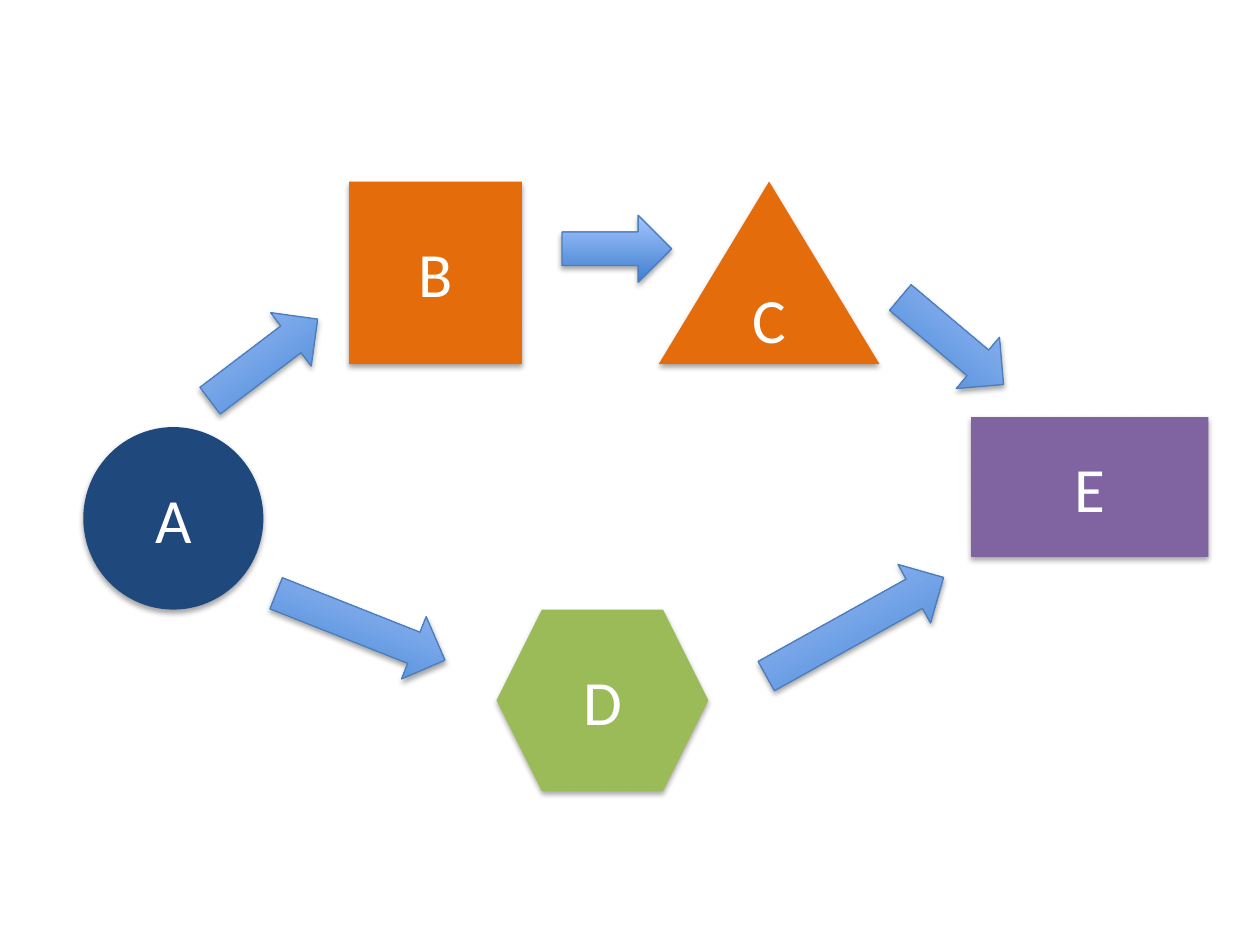
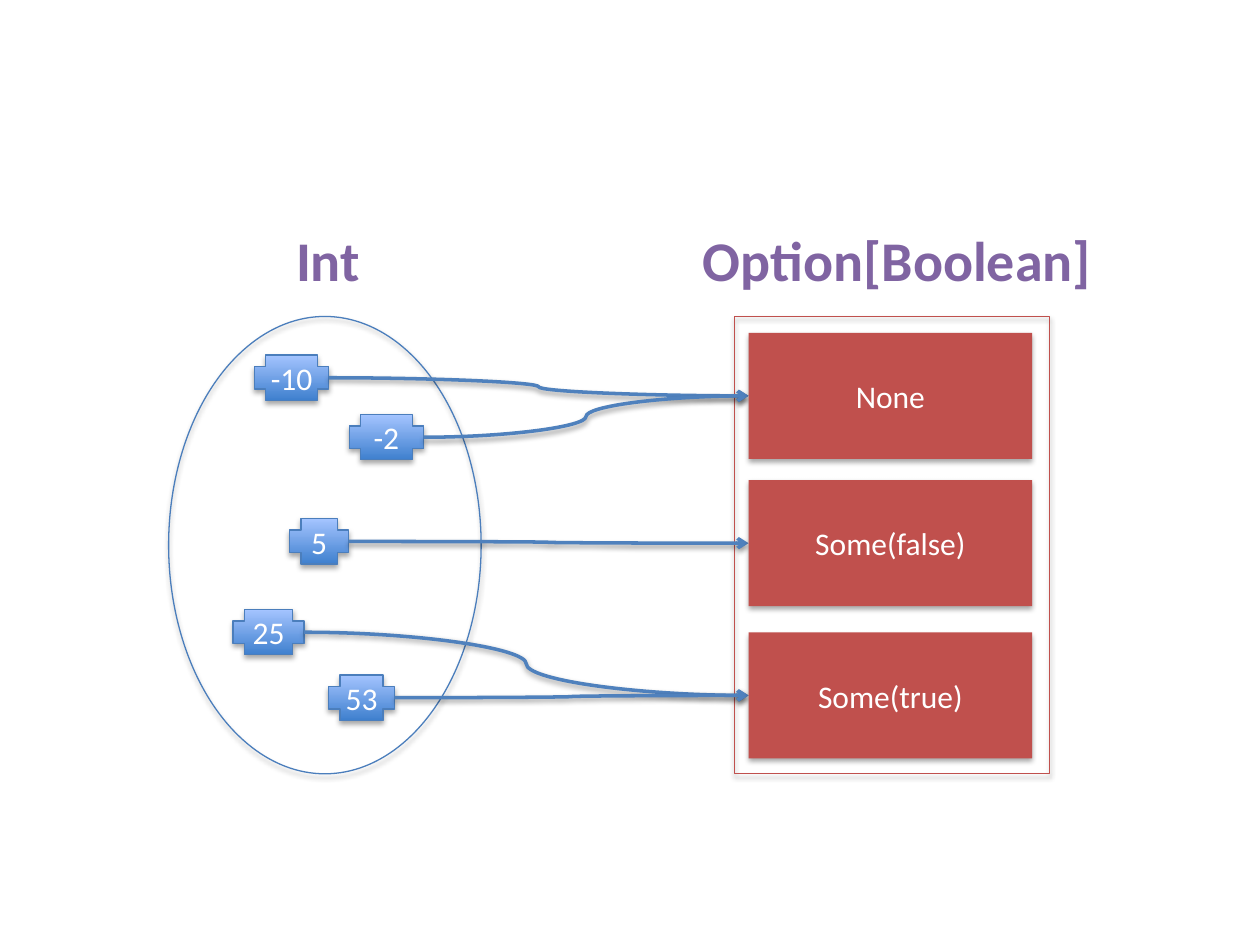
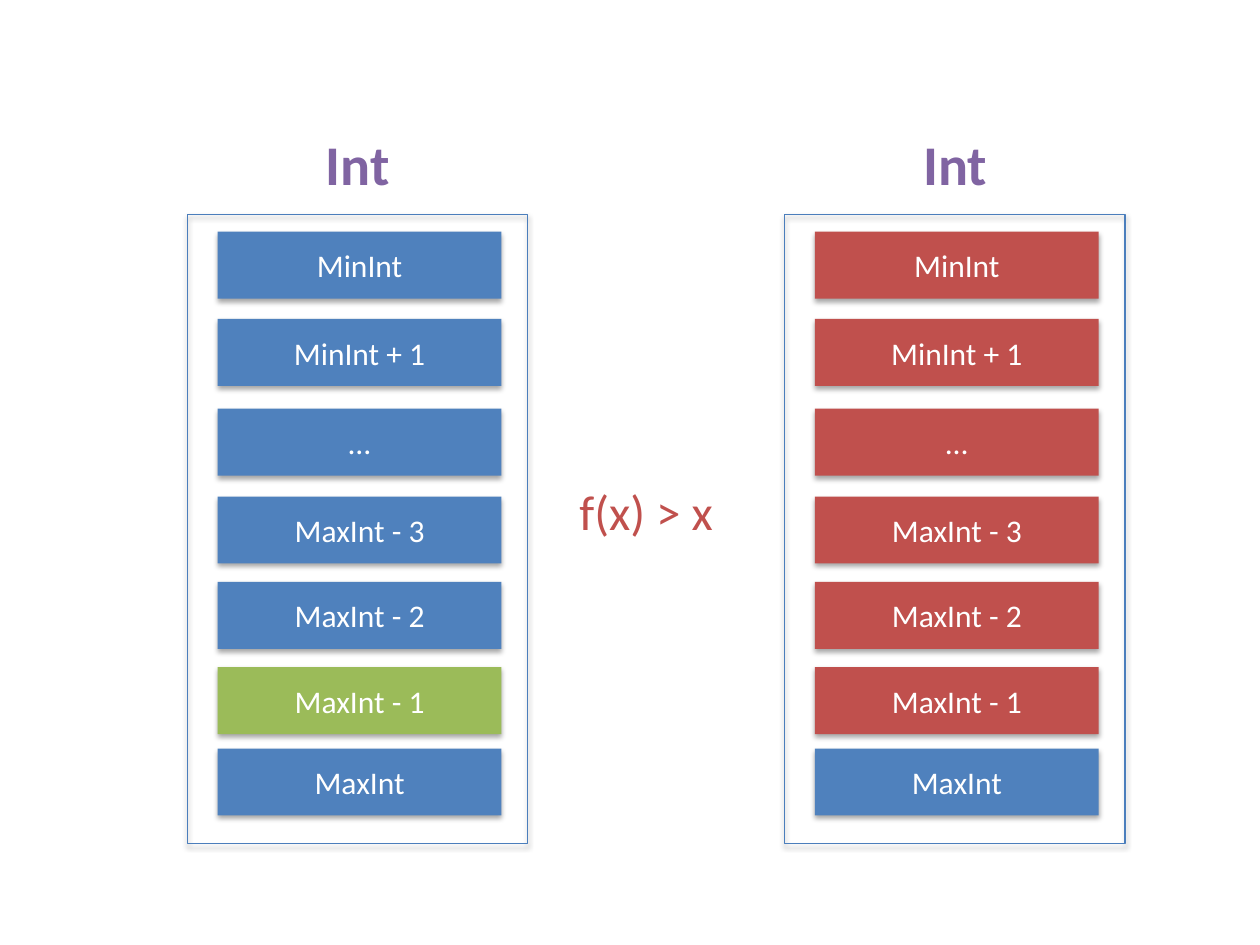
from lxml.etree import SubElement
from pptx import Presentation
from pptx.dml.color import RGBColor
from pptx.enum.shapes import MSO_CONNECTOR as CONN, MSO_SHAPE as SHAPE
from pptx.enum.text import MSO_ANCHOR, MSO_AUTO_SIZE, PP_ALIGN
from pptx.oxml.ns import qn
from pptx.util import Cm, Pt

FONT = "Calibri"
WHITE, NAVY, BLUE, EDGE = "FFFFFF", "1F497D", "4F81BD", "4B7EBC"
ORANGE, PURPLE, GREEN, RED = "E46C0A", "8064A2", "9BBB59", "C0504D"
GRADIENT = ("3F80CE", "A4C4FF")


def rgb(value):
    """Turn a hex string into a colour."""
    return RGBColor.from_string(value)


def add_shadow(sp, alpha=35, dist=1.8):
    """Give a shape or connector a soft shadow straight below it."""
    effects = SubElement(sp._element.spPr, qn("a:effectLst"))
    shadow = SubElement(effects, qn("a:outerShdw"), blurRad=str(Pt(3.1)),
                        dist=str(Pt(dist)), dir="5400000", rotWithShape="0")
    color = SubElement(shadow, qn("a:srgbClr"), val="000000")
    SubElement(color, qn("a:alpha"), val=str(alpha * 1000))


class Deck:
    """Holds the presentation, its style and the current slide."""

    def __init__(self):
        """Start an empty 4:3 presentation."""
        self.prs = Presentation()
        self.prs.slide_width, self.prs.slide_height = Cm(25.4), Cm(19.05)
        self.s = None

    def new_slide(self):
        """Add a blank slide and make it current."""
        self.s = self.prs.slides.add_slide(self.prs.slide_layouts[6])

    def put_text(self, tf, text, size, color, bold=False):
        """Put one run into a text frame and return its paragraph."""
        p = tf.paragraphs[0]
        r = p.add_run()
        r.text = text
        r.font.name, r.font.size, r.font.bold = FONT, Pt(size), bold
        r.font.color.rgb = rgb(color)
        return p

    def shape(self, kind, x, y, w, h, fill=None, line=None, text="", size=18):
        """Add a preset shape; fill is a colour, a colour pair or None."""
        sp = self.s.shapes.add_shape(kind, Cm(x), Cm(y), Cm(w), Cm(h))
        if fill is None:
            sp.fill.background()
        elif isinstance(fill, tuple):
            sp.fill.gradient()
            sp.fill.gradient_angle = 90
            for stop, position, color in zip(sp.fill.gradient_stops, (0, 1), fill):
                stop.position, stop.color.rgb = position, rgb(color)
        else:
            sp.fill.solid()
            sp.fill.fore_color.rgb = rgb(fill)
        if line:
            sp.line.color.rgb = rgb(line)
            sp.line.width = Pt(0.75)
        else:
            sp.line.fill.background()
        add_shadow(sp)
        if text:
            sp.text_frame.vertical_anchor = MSO_ANCHOR.MIDDLE
            p = self.put_text(sp.text_frame, text, size, WHITE)
            p.alignment = PP_ALIGN.CENTER
        return sp

    def box(self, x, y, h, text, fill):
        """Add a value box of the shared width."""
        self.shape(SHAPE.RECTANGLE, x, y, 5.72, h, fill, text=text)

    def arrow(self, x, y, w, angle):
        """Add a block arrow turned by an angle."""
        sp = self.shape(SHAPE.RIGHT_ARROW, x, y, w, 1.35, GRADIENT, EDGE)
        sp.rotation = angle

    def label(self, x, y, w, h, text, size=32, color=PURPLE, bold=True):
        """Add a one-line text that does not wrap."""
        tf = self.s.shapes.add_textbox(Cm(x), Cm(y), Cm(w), Cm(h)).text_frame
        tf.word_wrap = False
        tf.auto_size = MSO_AUTO_SIZE.SHAPE_TO_FIT_TEXT
        self.put_text(tf, text, size, color, bold)

    def curve(self, x1, y1, x2, y2):
        """Add a curved connector with an arrowhead at its end."""
        c = self.s.shapes.add_connector(CONN.CURVE, Cm(x1), Cm(y1), Cm(x2), Cm(y2))
        c.line.color.rgb = rgb(BLUE)
        c.line.width = Pt(2)
        ln = c._element.spPr.find(qn("a:ln"))
        SubElement(ln, qn("a:tailEnd"), type="arrow")
        add_shadow(c, 38, 1.6)


def composition_slide(deck):
    """Show two routes from A to E."""
    deck.new_slide()
    for x, y, w, angle in [(3.96, 6.58, 2.72, 322.8), (11.33, 4.34, 2.21, 0),
                           (17.83, 6.2, 2.72, 40.1), (5.44, 11.96, 3.66, 21.6),
                           (15.19, 11.96, 4.09, 330.9)]:
        deck.arrow(x, y, w, angle)
    for text, kind, x, y, w, h, fill in [
            ("A", SHAPE.OVAL, 1.68, 8.61, 3.63, 3.68, NAVY),
            ("B", SHAPE.RECTANGLE, 7.04, 3.66, 3.48, 3.68, ORANGE),
            ("C", SHAPE.ISOSCELES_TRIANGLE, 13.28, 3.66, 4.45, 3.68, ORANGE),
            ("E", SHAPE.RECTANGLE, 19.58, 8.41, 4.78, 2.82, PURPLE),
            ("D", SHAPE.HEXAGON, 10.01, 12.29, 4.27, 3.66, GREEN)]:
        deck.shape(kind, x, y, w, h, fill, text=text, size=36)


def option_slide(deck):
    """Map integers to optional booleans."""
    deck.new_slide()
    top, height = 6.38, 9.22
    deck.shape(SHAPE.OVAL, 3.4, top, 6.3, height, line=EDGE)
    deck.shape(SHAPE.RECTANGLE, 14.81, top, 6.35, height, line=RED)
    deck.label(5.72, 4.42, 1.83, 1.63, "Int")
    deck.label(13.92, 4.42, 8.43, 1.63, "Option[Boolean]")

    box_x, box_h, number_h = 15.09, 2.54, 0.91
    results = {"None": 6.71, "Some(false)": 9.68, "Some(true)": 12.75}
    for text, x, y, w, result in [("-10", 5.13, 7.16, 1.5, "None"),
                                  ("-2", 7.04, 8.36, 1.5, "None"),
                                  ("5", 5.84, 10.46, 1.19, "Some(false)"),
                                  ("25", 4.7, 12.29, 1.43, "Some(true)"),
                                  ("53", 6.63, 13.61, 1.32, "Some(true)")]:
        deck.shape(SHAPE.CROSS, x, y, w, number_h, GRADIENT, EDGE, text)
        deck.curve(x + w, y + number_h / 2, box_x, results[result] + box_h / 2)
    for text, y in results.items():
        deck.box(box_x, y, box_h, text, RED)


def increasing_slide(deck):
    """Compare the integers with the values that f can reach."""
    deck.new_slide()
    rows = [("MinInt", 4.67), ("MinInt + 1", 6.43), ("…", 8.24),
            ("MaxInt - 3", 10.01), ("MaxInt - 2", 11.73),
            ("MaxInt - 1", 13.45), ("MaxInt", 15.09)]
    inputs = [BLUE] * 5 + [GREEN, BLUE]
    outputs = [RED] * 6 + [BLUE]
    for x, fills in [(3.78, inputs), (15.82, outputs)]:
        deck.label(x + 2.54, 2.49, 1.83, 1.63, "Int")
        deck.shape(SHAPE.RECTANGLE, x, 4.33, 6.86, 12.67, line=EDGE)
        for (text, y), fill in zip(rows, fills):
            deck.box(x + 0.61, y, 1.35, text, fill)
    deck.label(11.43, 9.58, 3.23, 1.45, "f(x) > x", 28, RED, bold=False)


def main():
    """Build the three slides and save them."""
    deck = Deck()
    composition_slide(deck)
    option_slide(deck)
    increasing_slide(deck)
    deck.prs.save("out.pptx")


main()
